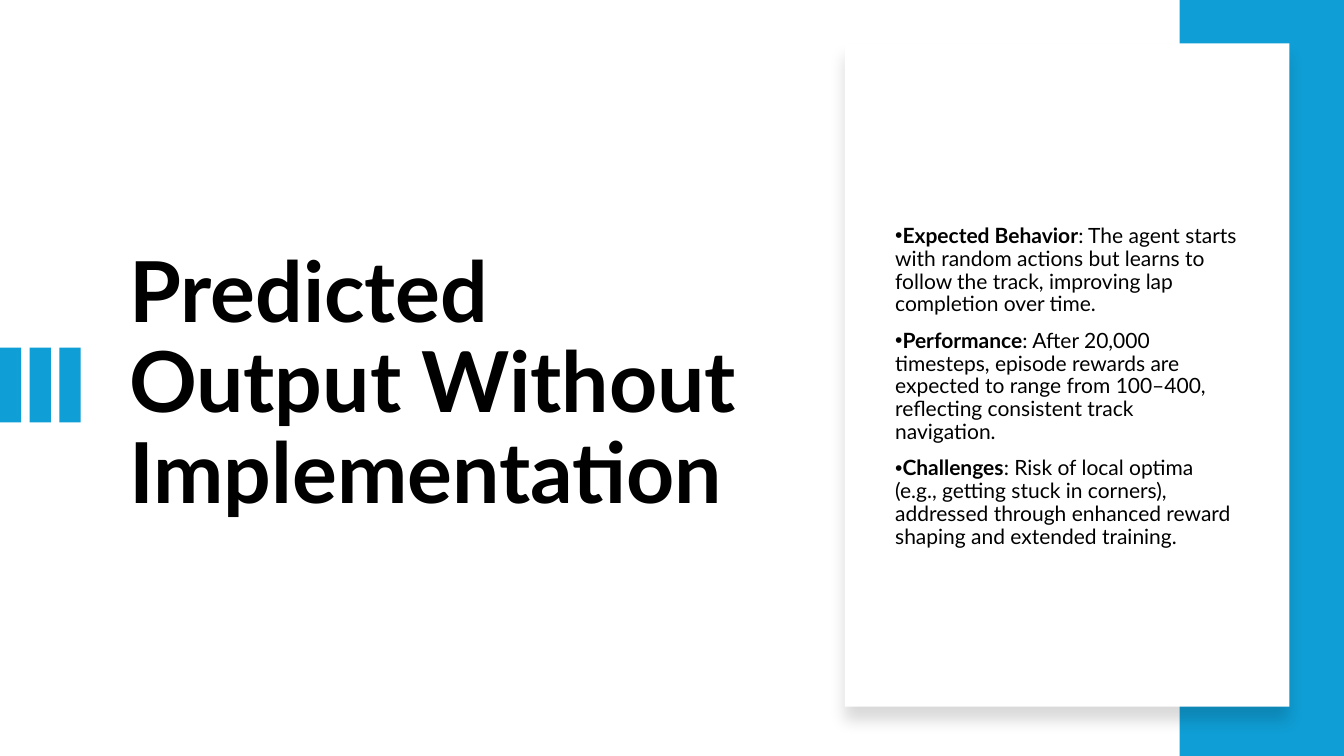
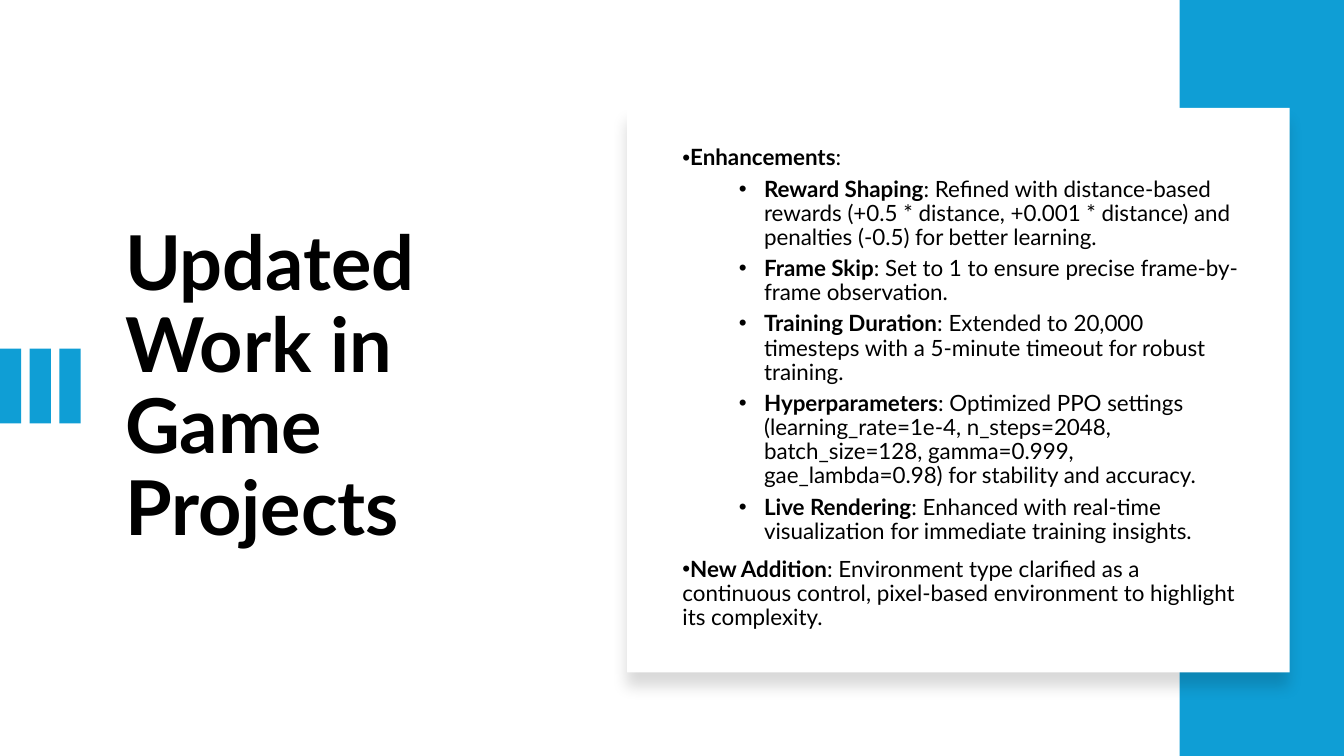
from dataclasses import dataclass

from lxml import etree
from pptx import Presentation
from pptx.dml.color import RGBColor
from pptx.enum import shapes, text
from pptx.oxml import ns
from pptx import util as u


@dataclass(frozen=True)
class Theme:
    accent: str = "0F9ED5"
    paper: str = "FFFFFF"
    ink: str = "000000"
    font: str = "Lato"
    line: float = 0.9
    gaps: tuple[int, int] = (10, 5)             # points before, by level
    edges: tuple[float, float] = (0, 0.81)      # bullet text indent, by level
    hangs: tuple[float, float] = (0, -0.25)


@dataclass(frozen=True)
class Box:
    """Left, top, width and height in percent of the slide."""
    x: float
    y: float
    w: float
    h: float

    def place(self) -> tuple[int, int, int, int]:
        return (int(WIDE * self.x / 100), int(HIGH * self.y / 100),
                int(WIDE * self.w / 100), int(HIGH * self.h / 100))


@dataclass(frozen=True)
class Point:
    head: str
    rest: str
    level: int = 0


@dataclass(frozen=True)
class Page:
    title: str
    title_size: int
    title_box: Box
    mark_top: float
    panel: Box
    body: Box
    body_size: int
    points: tuple[Point, ...]


THEME = Theme()
WIDE, HIGH = u.Inches(13.33), u.Inches(7.5)
BAND = Box(87.77, 0, 12.23, 100)
MARK_W, MARK_H, MARK_STEP, MARKS = 1.58, 9.87, 2.21, 3

PAGES = (
    Page(
        "Predicted Output Without Implementation", 60,
        Box(8.85, 16.67, 49.51, 68.67), 46,
        Box(62.87, 5.73, 33.08, 87.73), Box(65.87, 24.67, 27.08, 53.07), 15,
        (
            Point("Expected Behavior",
                  ": The agent starts with random actions but learns to follow "
                  "the track, improving lap completion over time."),
            Point("Performance",
                  ": After 20,000 timesteps, episode rewards are expected to "
                  "range from 100–400, reflecting consistent track navigation."),
            Point("Challenges",
                  ": Risk of local optima (e.g., getting stuck in corners), "
                  "addressed through enhanced reward shaping and extended "
                  "training."),
        ),
    ),
    Page(
        "Updated Work in Game Projects", 54,
        Box(8.55, 19.47, 31.96, 63.87), 46.13,
        Box(46.66, 14.27, 49.29, 74.67), Box(50.04, 19.47, 43.14, 63.87), 16,
        (
            Point("Enhancements", ":"),
            Point("Reward Shaping",
                  ": Refined with distance-based rewards (+0.5 * distance, "
                  "+0.001 * distance) and penalties (-0.5) for better learning.",
                  1),
            Point("Frame Skip",
                  ": Set to 1 to ensure precise frame-by-frame observation.", 1),
            Point("Training Duration",
                  ": Extended to 20,000 timesteps with a 5-minute timeout for "
                  "robust training.", 1),
            Point("Hyperparameters",
                  ": Optimized PPO settings (learning_rate=1e-4, n_steps=2048, "
                  "batch_size=128, gamma=0.999, gae_lambda=0.98) for stability "
                  "and accuracy.", 1),
            Point("Live Rendering",
                  ": Enhanced with real-time visualization for immediate "
                  "training insights.", 1),
            Point("New Addition",
                  ": Environment type clarified as a continuous control, "
                  "pixel-based environment to highlight its complexity."),
        ),
    ),
)


def add_rect(host, box: Box, color: str):
    """Draw a plain rectangle on a slide's or a group's shape list."""
    rect = host.add_shape(shapes.MSO_SHAPE.RECTANGLE, *box.place())
    rect.shadow.inherit = False
    rect.fill.solid()
    rect.fill.fore_color.rgb = RGBColor.from_string(color)
    rect.line.fill.background()
    return rect


def cast_shadow(shape) -> None:
    """Put a soft shadow straight below the shape."""
    effects = shape.element.spPr.find(ns.qn("a:effectLst"))
    outer = etree.SubElement(
        effects, ns.qn("a:outerShdw"), blurRad=str(u.Pt(11)),
        dist=str(u.Pt(10)), dir="5400000", algn="t", rotWithShape="0")
    color = etree.SubElement(outer, ns.qn("a:srgbClr"), val=THEME.ink)
    etree.SubElement(color, ns.qn("a:alpha"), val="15000")


def set_frame(frame) -> None:
    frame.word_wrap = True
    frame.auto_size = text.MSO_AUTO_SIZE.NONE
    frame.vertical_anchor = text.MSO_ANCHOR.MIDDLE


def add_run(para, words: str, size: int, bold: bool) -> None:
    run = para.add_run()
    run.text = words
    run.font.name = THEME.font
    run.font.size = u.Pt(size)
    run.font.bold = bold
    run.font.color.rgb = RGBColor.from_string(THEME.ink)


def set_para(para) -> None:
    para.alignment = text.PP_ALIGN.LEFT
    para.line_spacing = THEME.line


def add_title(slide, page: Page) -> None:
    title = slide.shapes.title
    title.left, title.top, title.width, title.height = page.title_box.place()
    set_frame(title.text_frame)
    para = title.text_frame.paragraphs[0]
    set_para(para)
    add_run(para, page.title, page.title_size, True)


def add_marks(slide, top: float) -> None:
    group = slide.shapes.add_group_shape()
    for i in range(MARKS):
        add_rect(group.shapes, Box(i * MARK_STEP, top, MARK_W, MARK_H),
                 THEME.accent)


def set_bullet(para, level: int) -> None:
    props = para._p.get_or_add_pPr()
    props.set("marL", str(u.Inches(THEME.edges[level])))
    props.set("indent", str(u.Inches(THEME.hangs[level])))
    etree.SubElement(props, ns.qn("a:buFont"), typeface="Arial")
    etree.SubElement(props, ns.qn("a:buChar"), char="•")


def add_points(slide, page: Page) -> None:
    frame = slide.shapes.add_textbox(*page.body.place()).text_frame
    set_frame(frame)
    for i, point in enumerate(page.points):
        para = frame.add_paragraph() if i else frame.paragraphs[0]
        set_para(para)
        para.level = point.level
        para.space_before = u.Pt(THEME.gaps[point.level])
        set_bullet(para, point.level)
        add_run(para, point.head, page.body_size, True)
        add_run(para, point.rest, page.body_size, False)


def add_page(deck, page: Page) -> None:
    slide = deck.slides.add_slide(deck.slide_layouts.get_by_name("Title Only"))
    add_title(slide, page)
    add_marks(slide, page.mark_top)
    add_rect(slide.shapes, BAND, THEME.accent)
    cast_shadow(add_rect(slide.shapes, page.panel, THEME.paper))
    add_points(slide, page)


def main() -> None:
    deck = Presentation()
    deck.slide_width, deck.slide_height = WIDE, HIGH
    back = deck.slide_master.background.fill
    back.solid()
    back.fore_color.rgb = RGBColor.from_string(THEME.paper)
    for page in PAGES:
        add_page(deck, page)
    deck.save("out.pptx")


if __name__ == "__main__":
    main()
